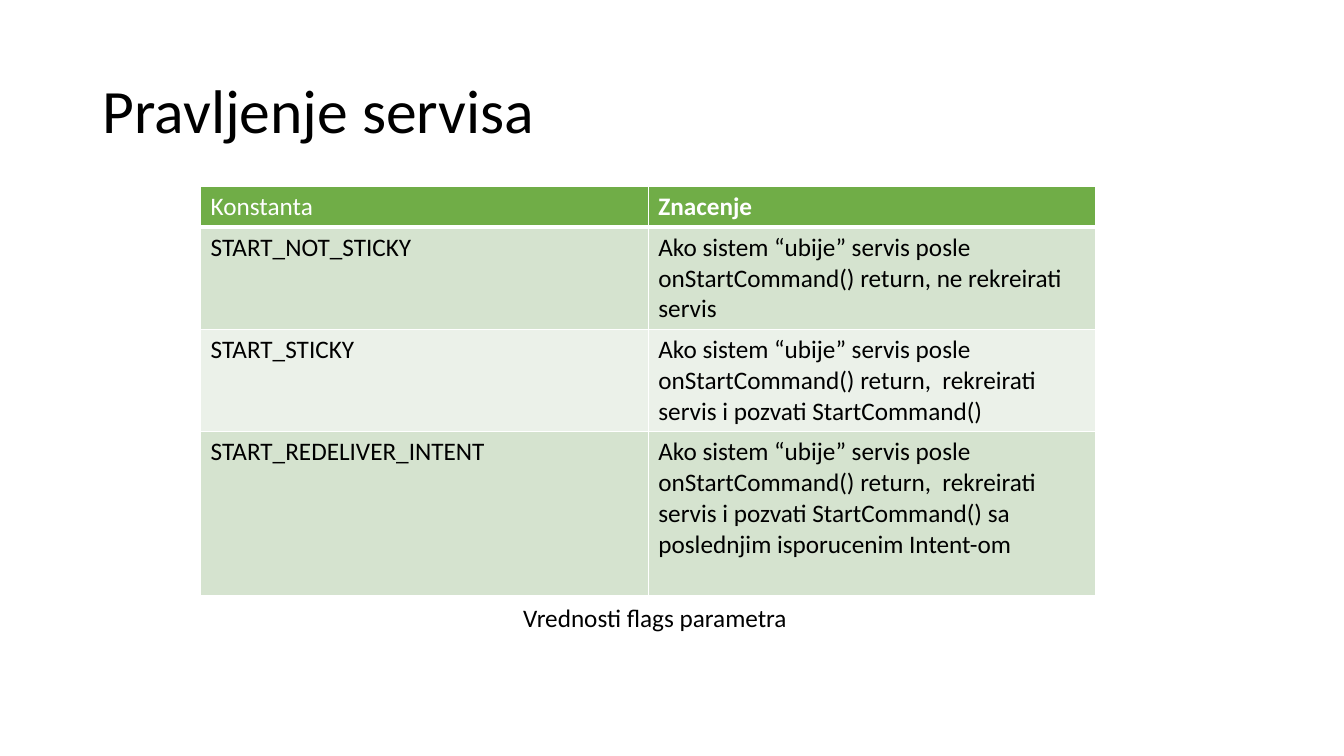
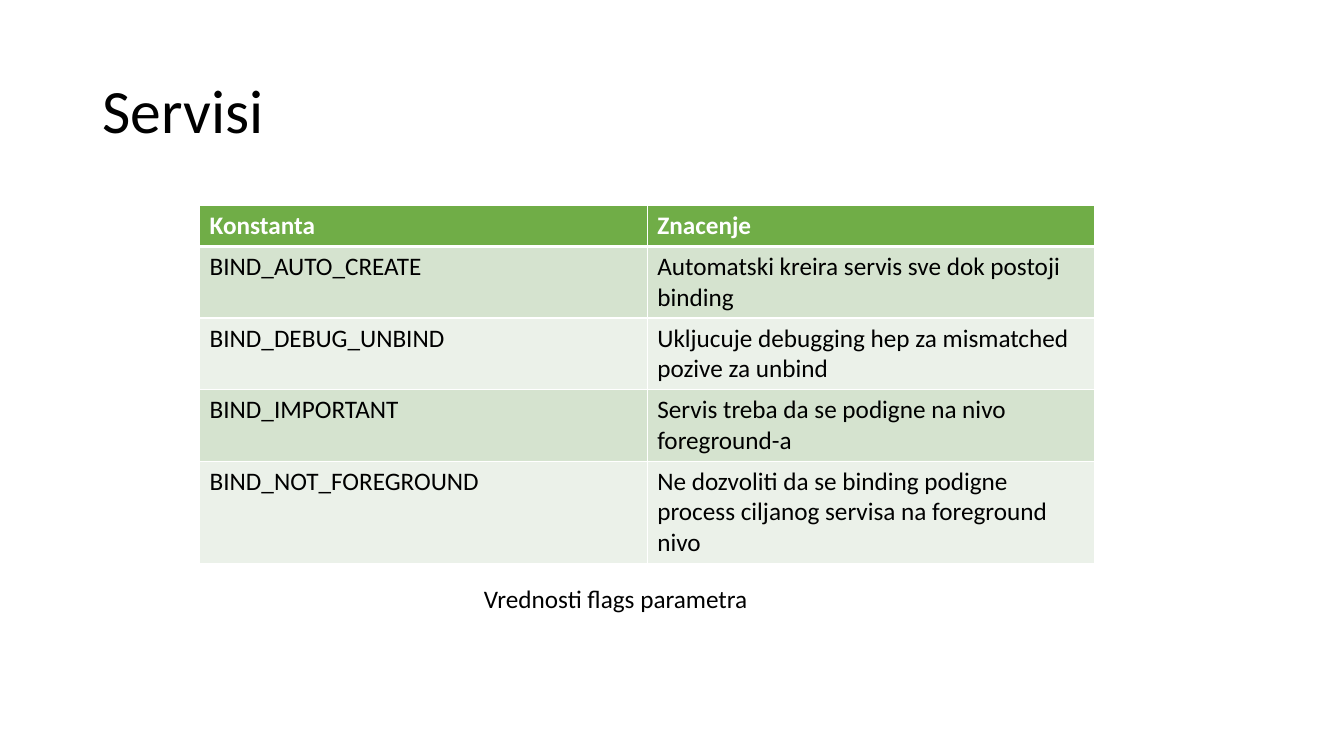
from dataclasses import dataclass

from lxml.etree import SubElement
from pptx import Presentation
from pptx.dml.color import RGBColor
from pptx.enum.text import MSO_ANCHOR, MSO_AUTO_SIZE
from pptx.oxml.ns import qn
from pptx.util import Inches, Pt


@dataclass(frozen=True)
class Theme:
    font: str = "Calibri"
    title_size: int = 44
    body_size: int = 18
    text: str = "000000"
    white: str = "FFFFFF"
    header: str = "70AD47"
    bands: tuple = ("D5E3CF", "EBF1E9")
    thin_border: int = 1
    thick_border: int = 3


THEME = Theme()
TITLE_AREA = (0.92, 0.4, 11.5, 1.45)
CAPTION_SIZE = (3.08, 0.4)
COLUMN_WIDTH = 4.44
ROW_PADDING = 0.1
LINE_HEIGHT = 0.305

# Each row: constant, meaning, number of text lines its height holds.
SLIDES = [
    {
        "title": "Pravljenje servisa",
        "table_at": (1.99, 1.85),
        "header_bold": (False, True),
        "rows": [
            ("START_NOT_STICKY",
             "Ako sistem “ubije” servis posle onStartCommand() return, ne rekreirati servis", 3),
            ("START_STICKY",
             "Ako sistem “ubije” servis posle onStartCommand() return,  rekreirati servis "
             "i pozvati StartCommand()", 3),
            ("START_REDELIVER_INTENT",
             "Ako sistem “ubije” servis posle onStartCommand() return,  rekreirati servis "
             "i pozvati StartCommand() sa poslednjim isporucenim Intent-om", 5),
        ],
        "caption_at": (5.09, 5.93),
    },
    {
        "title": "Servisi",
        "table_at": (1.98, 2.04),
        "header_bold": (True, True),
        "rows": [
            ("BIND_AUTO_CREATE", "Automatski kreira servis sve dok postoji binding", 2),
            ("BIND_DEBUG_UNBIND", "Ukljucuje debugging hep za mismatched pozive za unbind", 2),
            ("BIND_IMPORTANT", "Servis treba da se podigne na nivo foreground-a", 2),
            ("BIND_NOT_FOREGROUND",
             "Ne dozvoliti da se binding podigne process ciljanog servisa na foreground nivo", 3),
        ],
        "caption_at": (4.7, 5.74),
    },
]
HEADER = ("Konstanta", "Znacenje", 1)
CAPTION = "Vrednosti flags parametra"


def add_run(frame, text, size=THEME.body_size, color=THEME.text, bold=False):
    para = frame.paragraphs[0]
    span = para.add_run()
    span.text = text
    span.font.name = THEME.font
    span.font.size = Pt(size)
    span.font.bold = bold
    span.font.color.rgb = RGBColor.from_string(color)
    return para


def add_title(page, text):
    frame = page.shapes.add_textbox(*map(Inches, TITLE_AREA)).text_frame
    frame.word_wrap = True
    frame.vertical_anchor = MSO_ANCHOR.MIDDLE
    add_run(frame, text, THEME.title_size).line_spacing = 0.9


def add_caption(page, position):
    frame = page.shapes.add_textbox(*map(Inches, position + CAPTION_SIZE)).text_frame
    frame.word_wrap = False
    frame.auto_size = MSO_AUTO_SIZE.SHAPE_TO_FIT_TEXT
    add_run(frame, CAPTION)


def set_borders(cell, row_index):
    """White cell borders, thick on the line below the header."""
    properties = cell._tc.get_or_add_tcPr()
    thick_side = {0: "B", 1: "T"}.get(row_index)
    for side in "LRTB":
        width = THEME.thick_border if side == thick_side else THEME.thin_border
        line = SubElement(properties, qn(f"a:ln{side}"), w=str(Pt(width)))
        fill = SubElement(line, qn("a:solidFill"))
        SubElement(fill, qn("a:srgbClr"), val=THEME.white)


def add_constants_table(page, position, rows, header_bold):
    rows = [HEADER, *rows]
    heights = [Inches(ROW_PADDING + LINE_HEIGHT * lines) for *_, lines in rows]
    table = page.shapes.add_table(
        len(rows), 2, *map(Inches, position), Inches(2 * COLUMN_WIDTH), sum(heights)
    ).table
    for column in table.columns:
        column.width = Inches(COLUMN_WIDTH)
    for row_index, (*texts, _) in enumerate(rows):
        table.rows[row_index].height = heights[row_index]
        is_header = row_index == 0
        fill = THEME.header if is_header else THEME.bands[(row_index - 1) % 2]
        color = THEME.white if is_header else THEME.text
        for column_index, text in enumerate(texts):
            cell = table.cell(row_index, column_index)
            set_borders(cell, row_index)
            cell.fill.solid()
            cell.fill.fore_color.rgb = RGBColor.from_string(fill)
            bold = is_header and header_bold[column_index]
            add_run(cell.text_frame, text, color=color, bold=bold)


def main():
    deck = Presentation()
    deck.slide_width, deck.slide_height = Inches(13.33), Inches(7.5)
    for content in SLIDES:
        page = deck.slides.add_slide(deck.slide_layouts[6])
        add_title(page, content["title"])
        add_constants_table(page, content["table_at"], content["rows"], content["header_bold"])
        add_caption(page, content["caption_at"])
    deck.save("out.pptx")


if __name__ == "__main__":
    main()
